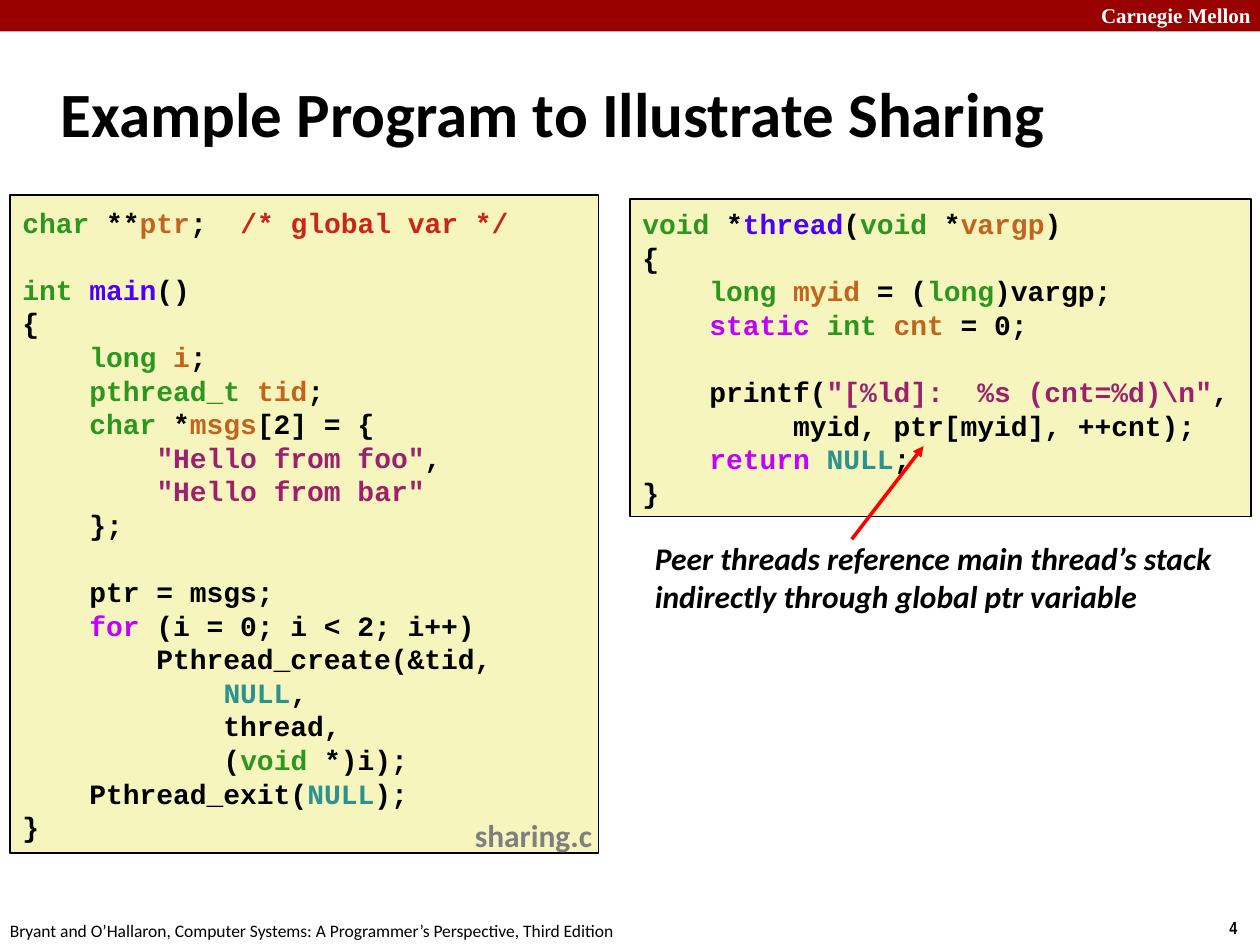
from lxml import etree
from pptx import Presentation
from pptx.dml.color import RGBColor
from pptx.enum import shapes, text
from pptx.oxml.ns import qn
from pptx.util import Inches, Pt

COLORS = {
    "banner": "990000", "white": "FFFFFF", "black": "000000",
    "panel": "F6F5BD", "arrow": "FF0000", "file": "7F7F7F",
    # syntax colours
    "type": "2D961E", "name": "C1651C", "func": "4A00FF", "key": "C200FF",
    "str": "9D206F", "const": "2C9290", "comment": "CB2418",
}

# Coloured code is written as ~kind:text~
MAIN_CODE = r"""~type:char~ **~name:ptr~;  ~comment:/* global var */~

~type:int ~~func:main~()
{
    ~type:long ~~name:i~;
    ~type:pthread_t ~~name:tid~;
    ~type:char~ *~name:msgs~[2] = {
        ~str:"Hello from foo"~,
        ~str:"Hello from bar"~
    };

    ptr = msgs;
    ~key:for~ (i = 0; i < 2; i++)
        Pthread_create(&tid,
            ~const:NULL~,
            thread,
            (~type:void~ *)i);
    Pthread_exit(~const:NULL~);
}"""

THREAD_CODE = r"""~type:void~ *~func:thread~(~type:void~ *~name:vargp~)
{
    ~type:long ~~name:myid~ = (~type:long~)vargp;
    ~key:static ~~type:int ~~name:cnt~ = 0;

    printf(~str:"[%ld]:  %s (cnt=%d)\n"~,
         myid, ptr[myid], ++cnt);
    ~key:return ~~const:NULL~;
}"""


def color(name):
    return RGBColor.from_string(COLORS[name])


class SlideBuilder:
    """Holds the text style and the current slide."""

    body_font = "Calibri"
    code_font = "Courier New"

    def __init__(self, slide):
        self.slide = slide

    def style(self, font, size, fill="black", bold=True, italic=False, name=None):
        font.name = name or self.body_font
        font.size = Pt(size)
        font.bold = bold
        font.italic = italic
        font.color.rgb = color(fill)

    def title(self, words, left, top, width, height):
        shape = self.slide.shapes.title
        shape.left, shape.top = Inches(left), Inches(top)
        shape.width, shape.height = Inches(width), Inches(height)
        frame = shape.text_frame
        frame.text = words
        frame.auto_size = text.MSO_AUTO_SIZE.NONE
        frame.vertical_anchor = text.MSO_ANCHOR.MIDDLE
        paragraph = frame.paragraphs[0]
        paragraph.alignment = text.PP_ALIGN.LEFT
        properties = paragraph._p.get_or_add_pPr()
        properties.set("marL", str(Inches(0.13)))
        properties.set("indent", str(Inches(-0.13)))
        self.style(paragraph.font, 36)

    def label(self, lines, left, top, width, height, size, wrap=False,
              margin=0.05, **look):
        box = self.slide.shapes.add_textbox(
            Inches(left), Inches(top), Inches(width), Inches(height))
        frame = box.text_frame
        frame.word_wrap = wrap
        frame.margin_top = frame.margin_bottom = Inches(margin)
        frame.text = lines
        for paragraph in frame.paragraphs:
            self.style(paragraph.font, size, **look)

    def rectangle(self, left, top, width, height, fill, line=None):
        shape = self.slide.shapes.add_shape(
            shapes.MSO_SHAPE.RECTANGLE,
            Inches(left), Inches(top), Inches(width), Inches(height))
        shape.shadow.inherit = False
        shape.fill.solid()
        shape.fill.fore_color.rgb = color(fill)
        if line:
            shape.line.color.rgb = color(line)
            shape.line.width = Pt(1)
        else:
            shape.line.fill.background()
        return shape

    def code(self, source, left, top, width, height, wrap):
        frame = self.rectangle(left, top, width, height, "panel", "black").text_frame
        frame.word_wrap = wrap
        frame.vertical_anchor = text.MSO_ANCHOR.MIDDLE
        for number, line in enumerate(source.split("\n")):
            paragraph = frame.add_paragraph() if number else frame.paragraphs[0]
            paragraph.alignment = text.PP_ALIGN.LEFT
            self.style(paragraph.font, 16, name=self.code_font)
            for index, part in enumerate(line.split("~")):
                if not part:
                    continue
                kind, words = part.split(":", 1) if index % 2 else ("black", part)
                run = paragraph.add_run()
                run.text = words
                run.font.color.rgb = color(kind)

    def arrow(self, start, end):
        connector = self.slide.shapes.add_connector(
            shapes.MSO_CONNECTOR.STRAIGHT, *map(Inches, start + end))
        connector.line.color.rgb = color("arrow")
        connector.line.width = Pt(2)
        etree.SubElement(connector.line._get_or_add_ln(), qn("a:tailEnd"),
                         type="triangle")
        etree.SubElement(connector._element.spPr, qn("a:effectLst"))


def main():
    presentation = Presentation()
    presentation.slide_width, presentation.slide_height = Inches(10), Inches(7.5)
    slide = presentation.slides.add_slide(presentation.slide_layouts[5])
    builder = SlideBuilder(slide)

    # Banner and footer
    builder.rectangle(0, 0, 10, 0.25, "banner")
    builder.label("Carnegie Mellon", 8.64, -0.03, 1.43, 0.3, 12, wrap=True,
                  fill="white", name="Times New Roman")
    builder.label("4", 9.66, 7.23, 0.34, 0.27, 10, name="Arial Narrow")
    builder.label("Bryant and O’Hallaron, Computer Systems: "
                  "A Programmer’s Perspective, Third Edition",
                  -0.02, 7.25, 5.08, 0.27, 10, bold=False)

    builder.title("Example Program to Illustrate Sharing", 0.38, 0.48, 9.3, 0.83)

    # Code panels
    builder.code(MAIN_CODE, 0.08, 1.55, 4.67, 5.22, wrap=True)
    builder.code(THREAD_CODE, 5, 1.58, 4.93, 2.52, wrap=False)

    # Remark with its arrow, and the file name
    builder.label("Peer threads reference main thread’s stack\n"
                  "indirectly through global ptr variable",
                  5.1, 4.28, 4.73, 0.61, 18, margin=0, italic=True)
    builder.arrow((6.76, 4.28), (7.33, 3.54))
    builder.label("sharing.c", 3.67, 6.43, 1.14, 0.4, 18, fill="file")

    presentation.save("out.pptx")


if __name__ == "__main__":
    main()
